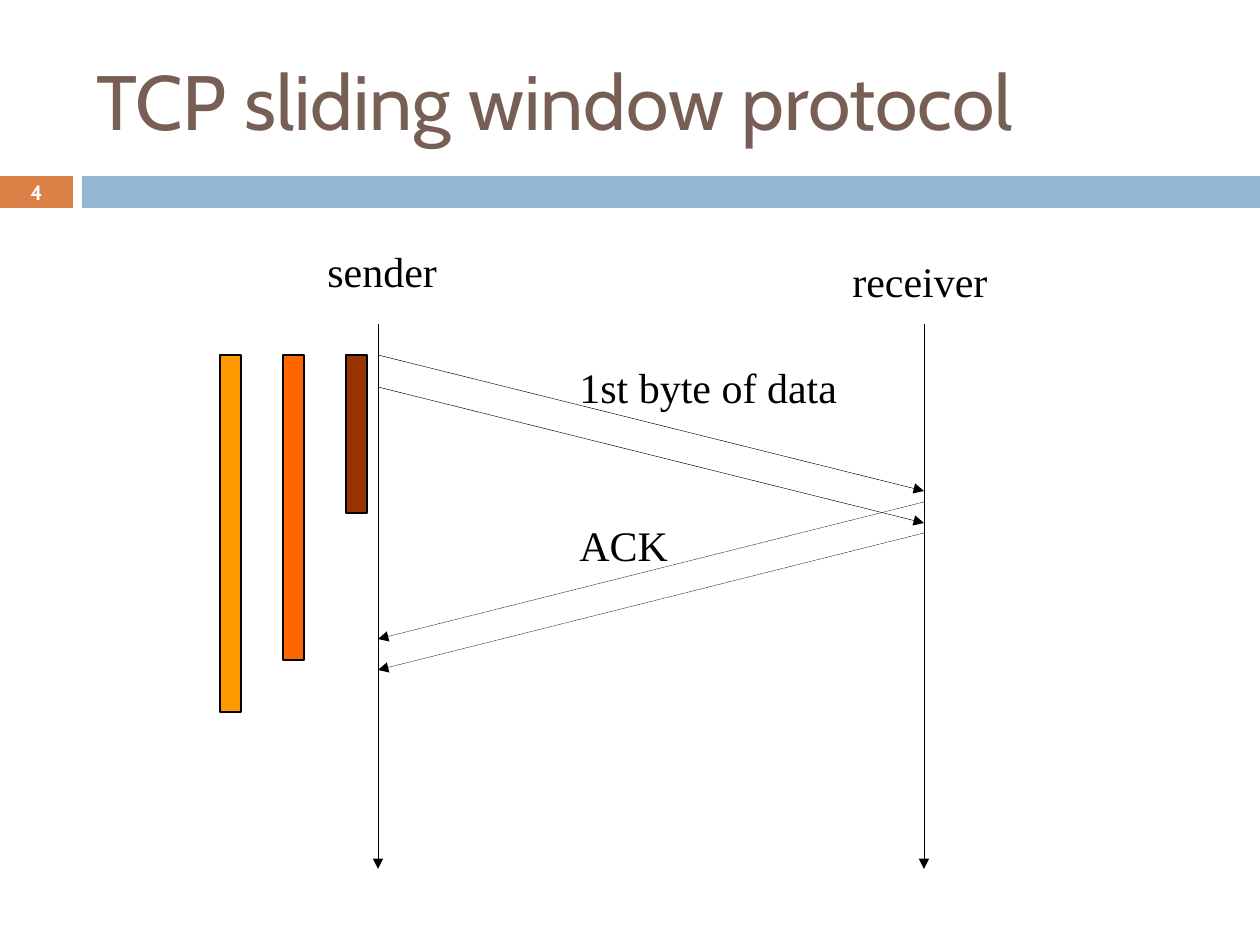
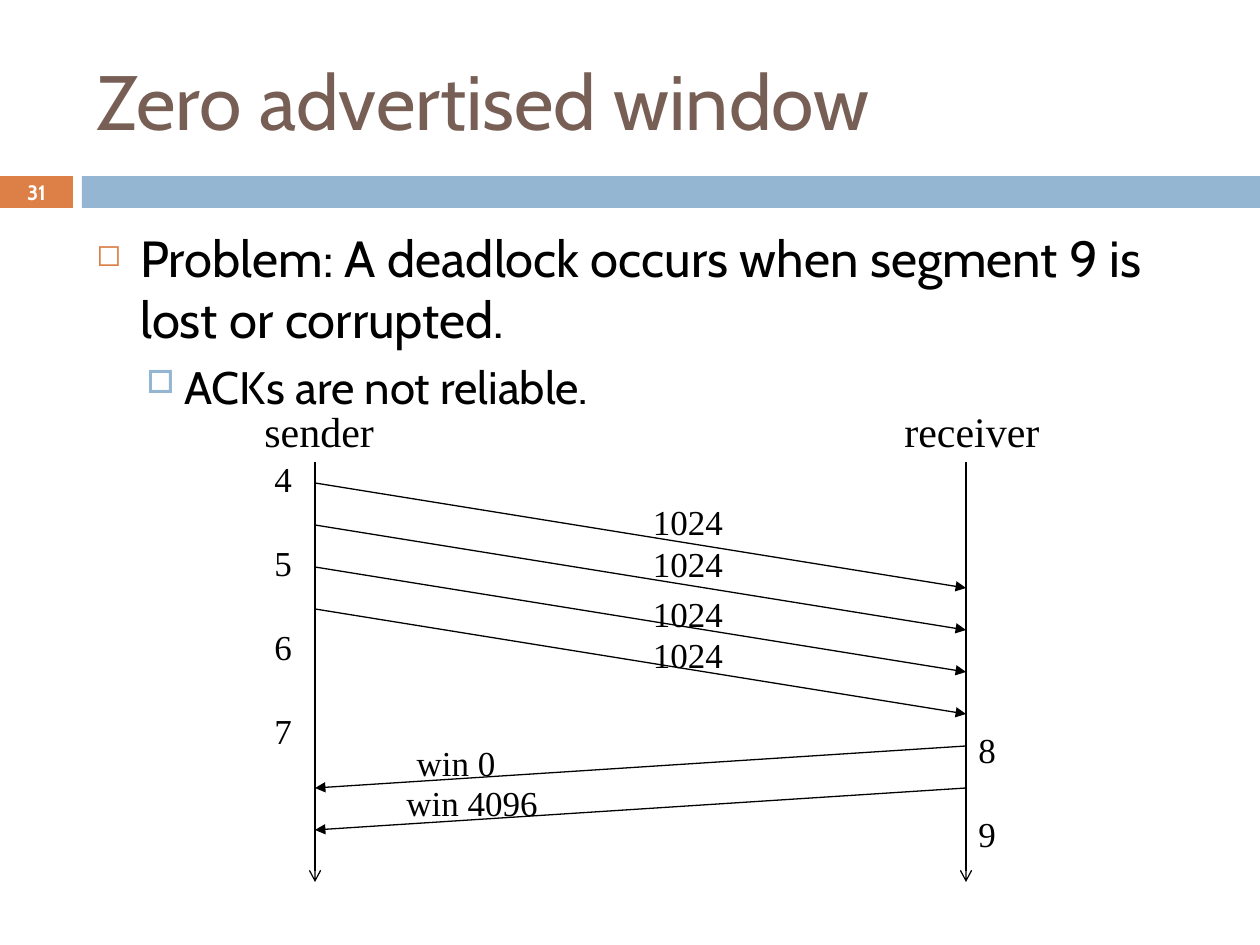
"""Build two slides on the TCP sliding window with python-pptx."""
from lxml import etree
from pptx import Presentation
from pptx.dml.color import RGBColor
from pptx.enum.dml import MSO_LINE
from pptx.enum.shapes import MSO_CONNECTOR, MSO_SHAPE
from pptx.enum.text import MSO_ANCHOR, MSO_AUTO_SIZE, PP_ALIGN
from pptx.oxml.ns import qn
from pptx.util import Pt

RECTANGLE = MSO_SHAPE.RECTANGLE
STRAIGHT = MSO_CONNECTOR.STRAIGHT
DOTTED = MSO_LINE.ROUND_DOT
TOP, MIDDLE = MSO_ANCHOR.TOP, MSO_ANCHOR.MIDDLE
LEFT, CENTER = PP_ALIGN.LEFT, PP_ALIGN.CENTER
GROW, FIXED = MSO_AUTO_SIZE.SHAPE_TO_FIT_TEXT, MSO_AUTO_SIZE.NONE

SCALE = 914400 / 126
SANS, SERIF = "Cabin", "Times New Roman"
BLACK, WHITE, BROWN = "000000", "FFFFFF", "775F55"
ORANGE, BLUE = "DD8047", "94B6D2"

TITLE_AREA = (84, 32, 1124, 136)
NUMBER_AREA = (0, 175, 73, 34)
BODY_AREA = (84, 221, 1124, 620)
BANDS = [(0, 176, 73, 32, ORANGE), (82, 176, 1178, 32, BLUE)]
LEVELS = [
    dict(size=29, before=7, indent=44, hang=44, mark="\u25fb", color=ORANGE, percent=60),
    dict(size=26, before=5.5, indent=88, hang=38, mark="\u25a1", color=BLUE, percent=70),
]

SLIDES = [
    dict(
        title="TCP sliding window protocol", number="4", bullets=[],
        sender_x=378, receiver_x=924, time=(324, 869), time_head="triangle", weight=0.25,
        data=dict(starts=[355, 387], drop=136),
        acks=dict(starts=[502, 533], drop=137, dash=DOTTED),
        bars=dict(left=220, top=355, width=21, step=63,
                  items=[(357, "FF9900"), (305, "FF6600"), (158, "993300")]),
        labels=[
            ("sender", 315, 239, 136, 24, LEFT),
            ("receiver", 840, 249, 179, 24, LEFT),
            ("ACK", 567, 513, 179, 24, LEFT),
            ("1st byte of data", 567, 355, 305, 24, LEFT),
        ],
    ),
    dict(
        title="Zero advertised window", number="31",
        bullets=[
            (0, "Problem: A deadlock occurs when segment 9 is lost or corrupted."),
            (1, "ACKs are not reliable."),
        ],
        sender_x=315, receiver_x=966, time=(462, 882), time_head="arrow", weight=0.75,
        data=dict(starts=[483 + 42 * row for row in range(4)], drop=105),
        acks=dict(starts=[746, 788], drop=42, dash=None),
        bars=None,
        labels=[
            ("4\n5\n6\n7", 262, 451, 42, 20, LEFT),
            ("8\n9", 966, 722, 42, 20, LEFT),
            ("win 0", 388, 735, 136, 20, CENTER),
            ("win 4096", 388, 775, 168, 20, CENTER),
            *[("1024", 630, top, 116, 20, CENTER) for top in (494, 536, 586, 627)],
            ("sender", 252, 399, 168, 24, LEFT),
            ("receiver", 892, 399, 168, 24, LEFT),
        ],
    ),
]


def px(*lengths):
    return [round(length * SCALE) for length in lengths]


def rgb(color):
    return RGBColor.from_string(color)


def add_block(page, left, top, width, height, fill, line=None):
    block = page.shapes.add_shape(RECTANGLE, *px(left, top, width, height))
    block.shadow.inherit = False
    block.fill.solid()
    block.fill.fore_color.rgb = rgb(fill)
    if line:
        block.line.color.rgb = rgb(line)
        block.line.width = Pt(0.75)
    else:
        block.line.fill.background()


def add_arrow(page, start, end, weight, head="triangle", dash=None):
    arrow = page.shapes.add_connector(STRAIGHT, *px(*start, *end))
    arrow.line.color.rgb = rgb(BLACK)
    arrow.line.width = Pt(weight)
    if dash:
        arrow.line.dash_style = dash
    etree.SubElement(arrow.line._get_or_add_ln(), qn("a:tailEnd"), type=head)
    etree.SubElement(arrow._element.spPr, qn("a:effectLst"))


def add_box(page, area, anchor=TOP, fit=FIXED):
    box = page.shapes.add_textbox(*px(*area))
    frame = box.text_frame
    frame.word_wrap = True
    frame.auto_size = fit
    frame.vertical_anchor = anchor
    return frame


def add_span(para, text, size, color=BLACK, font=SANS, bold=False):
    span = para.add_run()
    span.text = text
    span.font.size = Pt(size)
    span.font.name = font
    span.font.bold = bold
    span.font.color.rgb = rgb(color)


def add_label(page, text, left, top, width, size, align):
    lines = text.split("\n")
    pitch = 42 if len(lines) > 1 else size * 2
    frame = add_box(page, (left, top, width, pitch * len(lines) + 13), fit=GROW)
    para = frame.paragraphs[0]
    para.alignment = align
    if len(lines) > 1:
        para.line_spacing = Pt(24)
    before = etree.SubElement(para._p.get_or_add_pPr(), qn("a:spcBef"))
    etree.SubElement(before, qn("a:spcPct"), val="50000")
    for index, line in enumerate(lines):
        if index:
            para.add_line_break()
        add_span(para, line, size, font=SERIF)


def add_bullets(page, bullets):
    frame = add_box(page, BODY_AREA)
    for index, (level, text) in enumerate(bullets):
        style = LEVELS[level]
        para = frame.add_paragraph() if index else frame.paragraphs[0]
        para.level = level
        para.space_before = Pt(style["before"])
        props = para._p.get_or_add_pPr()
        indent, hang = px(style["indent"], style["hang"])
        props.set("marL", str(indent))
        props.set("indent", str(-hang))
        tint = etree.SubElement(props, qn("a:buClr"))
        etree.SubElement(tint, qn("a:srgbClr"), val=style["color"])
        etree.SubElement(props, qn("a:buSzPct"), val=str(style["percent"] * 1000))
        etree.SubElement(props, qn("a:buChar"), char=style["mark"])
        add_span(para, text, style["size"])


def add_frame(page, title, number):
    for band in BANDS:
        add_block(page, *band)
    add_span(add_box(page, TITLE_AREA, MIDDLE).paragraphs[0], title, 44, BROWN)
    para = add_box(page, NUMBER_AREA, MIDDLE).paragraphs[0]
    para.alignment = CENTER
    add_span(para, number, 11.9, WHITE, bold=True)


def add_exchange(page, content):
    sender, receiver = content["sender_x"], content["receiver_x"]
    begin, finish = content["time"]
    weight = content["weight"]
    for x in (sender, receiver):
        add_arrow(page, (x, begin), (x, finish), weight, content["time_head"])
    data, acks = content["data"], content["acks"]
    for y in data["starts"]:
        add_arrow(page, (sender, y), (receiver, y + data["drop"]), weight)
    for y in acks["starts"]:
        add_arrow(page, (receiver, y), (sender, y + acks["drop"]), weight, dash=acks["dash"])


def add_bars(page, left, top, width, step, items):
    for index, (height, fill) in enumerate(items):
        add_block(page, left + index * step, top, width, height, fill, BLACK)


deck = Presentation()
deck.slide_width, deck.slide_height = px(1260, 945)
for content in SLIDES:
    page = deck.slides.add_slide(deck.slide_layouts[6])
    add_frame(page, content["title"], content["number"])
    if content["bullets"]:
        add_bullets(page, content["bullets"])
    add_exchange(page, content)
    if content["bars"]:
        add_bars(page, **content["bars"])
    for label in content["labels"]:
        add_label(page, *label)
deck.save("out.pptx")
